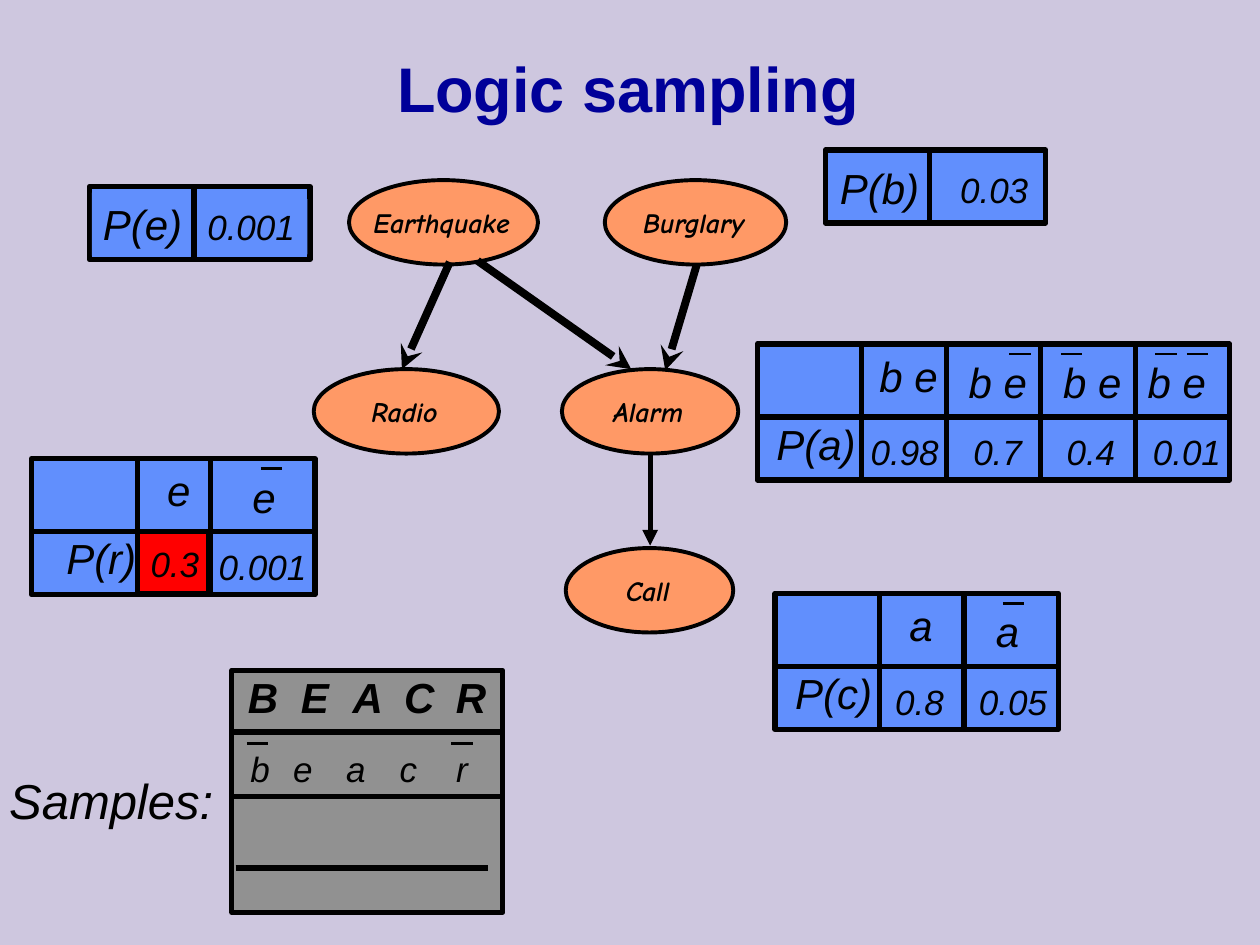
from lxml.etree import SubElement
from pptx import Presentation
from pptx.dml.color import RGBColor
from pptx.enum.shapes import MSO_CONNECTOR as CONN, MSO_SHAPE as SHAPE
from pptx.enum.text import MSO_ANCHOR as ANCHOR, MSO_AUTO_SIZE as AUTO, PP_ALIGN as ALIGN
from pptx.oxml.ns import qn
from pptx.util import Inches, Pt

COLORS = {"bg": "CEC7DF", "title": "000099", "ink": "000000", "table": "618FFD",
          "samples": "919191", "hit": "FF0000", "node": "FF9966"}
RGB = {name: RGBColor.from_string(value) for name, value in COLORS.items()}
HEIGHTS = {20: 0.44, 24: 0.5, 28: 0.57, 36: 0.97}
ROW = 0.58
BAR = 0.17

prs = Presentation()
prs.slide_width, prs.slide_height = Inches(10), Inches(7.5)
s = prs.slides.add_slide(prs.slide_layouts[6])
s.background.fill.solid()
s.background.fill.fore_color.rgb = RGB["bg"]


def add_text(text, x, y, w, h=None, size=20, align=ALIGN.RIGHT, font="Arial", color="ink",
             bold=False, italic=True, shape=None, fill=None, line=None, wrap=False,
             auto=AUTO.SHAPE_TO_FIT_TEXT, anchor=ANCHOR.TOP, tabs=()):
    box = [Inches(v) for v in (x, y, w, h or HEIGHTS[size])]
    if shape is None:
        sp = s.shapes.add_textbox(*box)
    else:
        sp = s.shapes.add_shape(shape, *box)
        sp.shadow.inherit = False
        sp.fill.solid()
        sp.fill.fore_color.rgb = RGB[fill]
        if line:
            sp.line.color.rgb = RGB["ink"]
            sp.line.width = Pt(line)
        else:
            sp.line.fill.background()
    if not text:
        return
    tf = sp.text_frame
    tf.word_wrap, tf.auto_size, tf.vertical_anchor = wrap, auto, anchor
    tf.margin_left = Inches(0.1 if wrap else 0.07)
    p = tf.paragraphs[0]
    p.alignment = align
    if tabs:
        tab_list = SubElement(p._p.get_or_add_pPr(), qn("a:tabLst"))
        for stop in tabs:
            SubElement(tab_list, qn("a:tab"), pos=str(Inches(stop)), algn="l")
    r = p.add_run()
    r.text = text
    r.font.name, r.font.size = font, Pt(size)
    r.font.bold, r.font.italic = bold, italic
    r.font.color.rgb = RGB[color]


def add_line(x1, y1, x2, y2, width=3, arrow=None):
    cn = s.shapes.add_connector(CONN.STRAIGHT, *[Inches(v) for v in (x1, y1, x2, y2)])
    cn.line.color.rgb = RGB["ink"]
    cn.line.width = Pt(width)
    if arrow:
        SubElement(cn.line._get_or_add_ln(), qn("a:tailEnd"), type=arrow)
    SubElement(cn._element.spPr, qn("a:effectLst"))


add_text("Logic sampling", 0.61, 0.21, 8.75, size=36, align=ALIGN.CENTER, color="title",
         bold=True, italic=False, wrap=True, auto=AUTO.NONE, anchor=ANCHOR.MIDDLE)

add_text("", 1.84, 5.32, 2.15, 1.92, shape=SHAPE.RECTANGLE, fill="samples", line=3)
add_text("Samples:", -0.03, 6.07, 1.82, size=28)
add_text("B\tE\tA\tC\tR", 1.87, 5.28, 2.24, size=24, align=ALIGN.LEFT, bold=True,
         wrap=True, tabs=[0.42 + 0.41 * i for i in range(4)])
for x1, x2, y in [(1.84, 3.99, 5.81), (1.84, 3.99, 6.32), (1.87, 3.87, 6.89)]:
    add_line(x1, y, x2, y)
for text, x, w in [("b", 1.89, 0.35), ("e", 2.23, 0.35), ("a", 2.65, 0.35),
                   ("c", 3.07, 0.34), ("r", 3.52, 0.29)]:
    add_text(text, x, 5.88, w)
for x in (1.96, 3.58):
    add_line(x, 5.9, x + BAR, 5.9, 1.5)

priors = [("P(e)", "0.001", 0.71, 1.48, 0.73, 1.55, 0.89, 1.54),
          ("P(b)", "0.03", 6.55, 1.19, 6.58, 7.52, 0.74, 7.38)]
for label, value, x, y, label_x, value_x, value_w, divider in priors:
    add_text("", x, y, 1.75, ROW, shape=SHAPE.RECTANGLE, fill="table", line=3)
    add_text(label, label_x, y + 0.05, 0.83, size=24, align=ALIGN.CENTER,
             shape=SHAPE.RECTANGLE, fill="table")
    add_text(value, value_x, y + 0.1, value_w, shape=SHAPE.RECTANGLE, fill="table")
    add_line(divider, y, divider, y + ROW)

conditionals = [
    (6.01, 2.73, 3.75, (6.84, 7.51, 8.26, 9.01), ("P(a)", 6.06, 0.83), ALIGN.RIGHT,
     [("b e", 6.74, 0.8, ()), ("b e", 7.59, 0.66, (8.01,)),
      ("b e", 8.34, 0.66, (8.42,)), ("b e", 9.01, 0.66, (9.17, 9.42))],
     [("0.98", 6.81, 0.74), ("0.7", 7.63, 0.58), ("0.4", 8.37, 0.58), ("0.01", 9.05, 0.74)]),
    (6.15, 4.71, 2.25, (6.98, 7.65), ("P(c)", 6.21, 0.81), ALIGN.CENTER,
     [("a", 6.98, 0.66, ()), ("a", 7.82, 0.38, (7.96,))],
     [("0.8", 7.01, 0.58), ("0.05", 7.67, 0.74)]),
    (0.25, 3.64, 2.25, (1.09, 1.67), ("P(r)", 0.43, 0.75), ALIGN.CENTER,
     [("e", 1.09, 0.66, ()), ("e", 1.92, 0.38, (2.07,))],
     [("0.001", 1.64, 0.89)]),
]
for x, y, w, dividers, (label, label_x, label_w), align, heads, values in conditionals:
    add_text("", x, y, w, 1.08, shape=SHAPE.RECTANGLE, fill="table", line=3)
    add_text(label, label_x, y + 0.54, label_w, size=24)
    for text, head_x, head_w, bars in heads:
        add_text(text, head_x, y + (0.05 if bars else 0), head_w, size=24, align=align,
                 wrap=not bars)
        for bar_x in bars:
            add_line(bar_x, y + 0.08, bar_x + BAR, y + 0.08, 1.5)
    add_line(x, y + ROW, x + w, y + ROW)
    for divider in dividers:
        add_line(divider, y, divider, y + 1.08)
    for value, value_x, value_w in values:
        add_text(value, value_x, y + 0.64, value_w)

add_text("", 1.09, 4.22, 0.57, 0.49, shape=SHAPE.RECTANGLE, fill="hit", line=3)
add_text("0.3", 1.1, 4.26, 0.58)

for name, x, y, w in [("Earthquake", 2.77, 1.43, 1.5), ("Radio", 2.49, 2.93, 1.47),
                      ("Burglary", 4.8, 1.43, 1.44), ("Alarm", 4.46, 2.93, 1.4),
                      ("Call", 4.49, 4.35, 1.33)]:
    add_text(name, x, y, w, 0.67, size=16, align=ALIGN.CENTER, font="Comic Neue", bold=True,
             shape=SHAPE.OVAL, fill="node", line=2.25, auto=AUTO.NONE, anchor=ANCHOR.MIDDLE)
for edge in [(3.57, 2.08, 3.19, 2.93), (3.79, 2.07, 5.01, 2.93), (5.53, 2.1, 5.28, 2.94)]:
    add_line(*edge, width=4.5, arrow="stealth")
add_line(5.16, 3.61, 5.16, 4.33, arrow="triangle")

prs.save("out.pptx")
